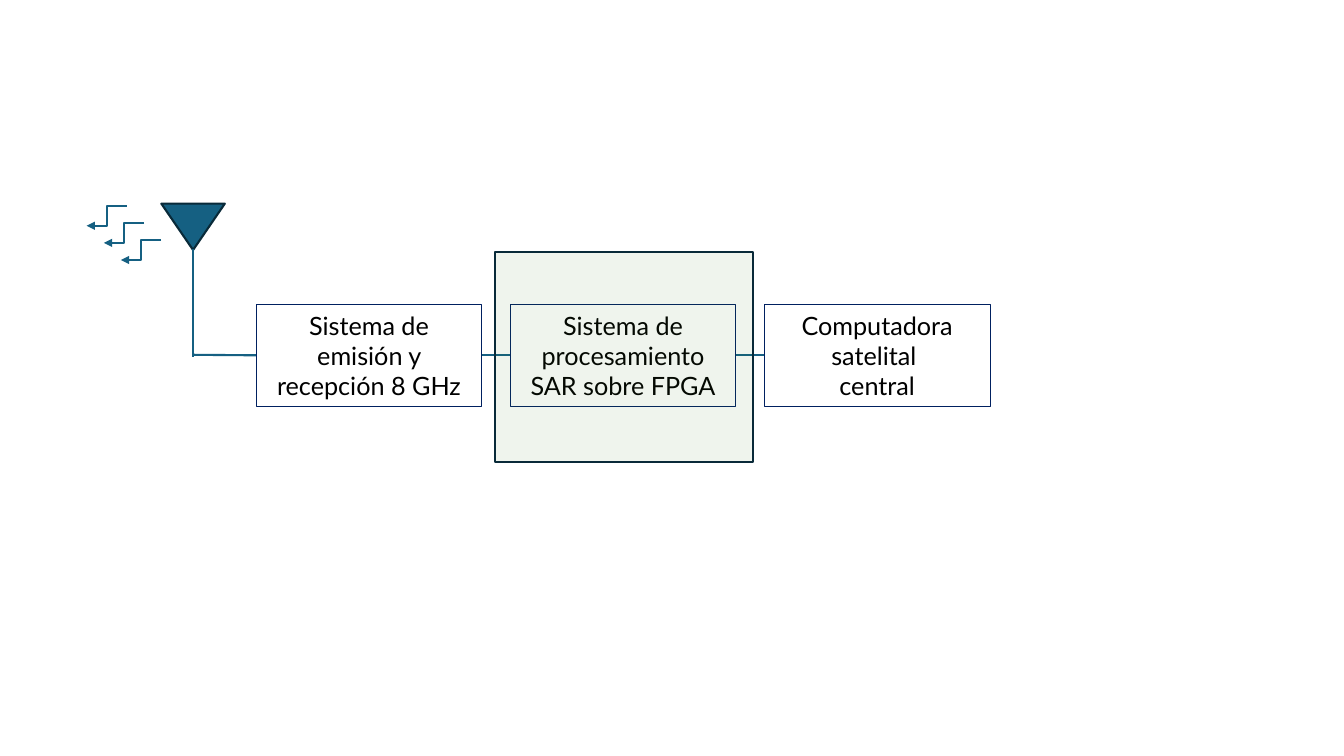
from dataclasses import dataclass

from lxml.etree import SubElement
from pptx import Presentation
from pptx.dml.color import RGBColor
from pptx.enum.shapes import MSO_CONNECTOR, MSO_SHAPE
from pptx.enum.text import MSO_ANCHOR, MSO_AUTO_SIZE, PP_ALIGN
from pptx.oxml.ns import qn
from pptx.shapes.autoshape import Shape
from pptx.shapes.connector import Connector
from pptx.slide import Slide
from pptx.util import Inches, Pt

TEAL = "156082"
DARK = "092A39"
NAVY = "002060"
GREEN = "3B7D23"
BLACK = "000000"
MID = 3.52


@dataclass
class Block:
    left: float
    lines: list[str]


@dataclass
class Wire:
    kind: MSO_CONNECTOR
    start: tuple[float, float]
    end: tuple[float, float]
    arrow: bool = False


def color(code: str) -> RGBColor:
    return RGBColor.from_string(code)


def add_form(slide: Slide, kind: MSO_SHAPE, left: float, top: float,
             width: float, height: float, fill: str | None,
             line: str, weight: float) -> Shape:
    form = slide.shapes.add_shape(
        kind, Inches(left), Inches(top), Inches(width), Inches(height))
    form.shadow.inherit = False
    if fill:
        form.fill.solid()
        form.fill.fore_color.rgb = color(fill)
    else:
        form.fill.background()
    form.line.color.rgb = color(line)
    form.line.width = Pt(weight)
    return form


def add_block(slide: Slide, block: Block) -> Shape:
    form = add_form(slide, MSO_SHAPE.RECTANGLE, block.left, 3.02, 2.24, 1.01,
                    None, NAVY, 0.75)
    frame = form.text_frame
    frame.word_wrap = True
    frame.auto_size = MSO_AUTO_SIZE.SHAPE_TO_FIT_TEXT
    frame.vertical_anchor = MSO_ANCHOR.MIDDLE
    for place, line in enumerate(block.lines):
        para = frame.add_paragraph() if place else frame.paragraphs[0]
        para.alignment = PP_ALIGN.CENTER
        run = para.add_run()
        run.text = line
        run.font.name = "Lato"
        run.font.size = Pt(18)
        run.font.color.rgb = color(BLACK)
    return form


def add_wire(slide: Slide, wire: Wire) -> Connector:
    link = slide.shapes.add_connector(
        wire.kind, *map(Inches, wire.start + wire.end))
    link.line.color.rgb = color(TEAL)
    link.line.width = Pt(1.5)
    if wire.arrow:
        SubElement(link.line._get_or_add_ln(), qn("a:tailEnd"), type="triangle")
    SubElement(link._element.spPr, qn("a:effectLst"))
    return link


def main() -> None:
    deck = Presentation()
    deck.slide_width = Inches(13.33)
    deck.slide_height = Inches(7.5)
    slide = deck.slides.add_slide(deck.slide_layouts[6])

    horn = add_form(slide, MSO_SHAPE.ISOSCELES_TRIANGLE, 1.6, 2.02, 0.63, 0.46,
                    TEAL, DARK, 1.5)
    horn.rotation = 180
    add_wire(slide, Wire(MSO_CONNECTOR.STRAIGHT, (1.91, 2.47), (1.91, 3.54)))
    feed = add_wire(slide, Wire(MSO_CONNECTOR.STRAIGHT, (1.91, MID), (2.54, MID)))

    for step in range(3):
        left, top = 0.86 + 0.17 * step, 2.04 + 0.17 * step
        add_wire(slide, Wire(MSO_CONNECTOR.ELBOW, (left + 0.4, top),
                             (left, top + 0.2), True))

    texts = [
        ["Sistema de emisión y recepción 8 GHz"],
        ["Sistema de procesamiento SAR sobre FPGA"],
        ["Computadora satelital ", "central"],
    ]
    forms = [add_block(slide, Block(2.54 + 2.52 * place, lines))
             for place, lines in enumerate(texts)]
    feed.end_connect(forms[0], 1)
    for first, second in zip(forms, forms[1:]):
        link = add_wire(slide, Wire(MSO_CONNECTOR.STRAIGHT, (0, MID), (1, MID)))
        link.begin_connect(first, 3)
        link.end_connect(second, 1)

    zone = add_form(slide, MSO_SHAPE.RECTANGLE, 4.91, 2.5, 2.56, 2.08,
                    GREEN, DARK, 1.5)
    tint = zone._element.spPr.find(qn("a:solidFill"))[0]
    SubElement(tint, qn("a:alpha"), val="8000")

    deck.save("out.pptx")


if __name__ == "__main__":
    main()
